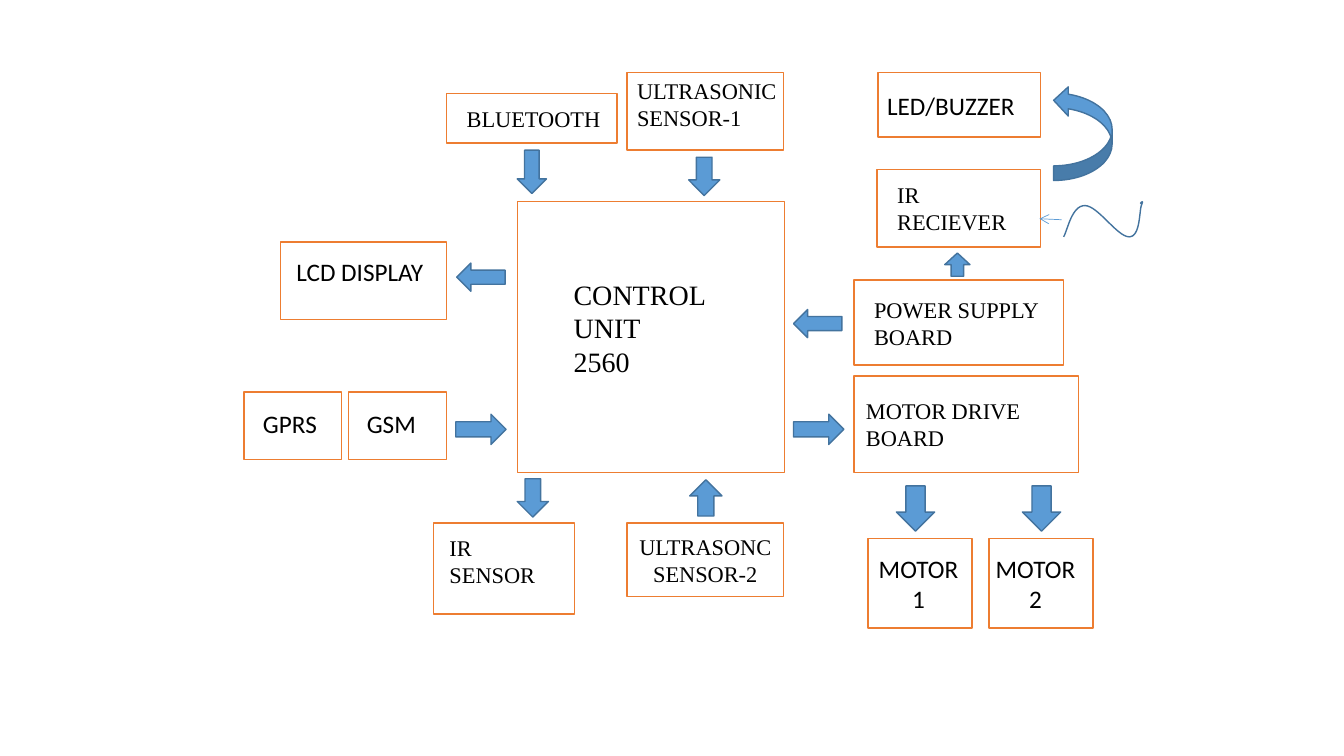
"""Build the block diagram of a controller board with its sensors, radios and motors."""
from dataclasses import dataclass
from typing import Optional

import lxml.etree
import pptx
import pptx.dml.color
import pptx.enum.dml
import pptx.enum.shapes
import pptx.enum.text
import pptx.oxml.ns
import pptx.util

SERIF, SANS = "Times New Roman", "Calibri"
ORANGE, BLUE, DARK_BLUE, WHITE, BLACK = "ED7D31", "5B9BD5", "43739E", "FFFFFF", "000000"
SHAPE = pptx.enum.shapes.MSO_SHAPE
ALIGN = pptx.enum.text.PP_ALIGN
ANCHOR = pptx.enum.text.MSO_ANCHOR
CELLS_PER_INCH = 10


@dataclass(frozen=True)
class Area:
    """A rectangle in grid columns and rows."""
    column: float
    row: float
    columns: float
    rows: float


@dataclass(frozen=True)
class Block:
    """An outlined box with its label, set in a text area or in the box itself."""
    area: Area
    text: str
    label: Optional[Area] = None
    font: str = SERIF
    size: float = 16
    align: ALIGN = ALIGN.LEFT
    fill: Optional[str] = WHITE


@dataclass(frozen=True)
class Arrow:
    """A block arrow."""
    kind: SHAPE
    area: Area
    rotation: float = 0


BLOCKS = [
    Block(Area(51.3, 20, 26.5, 26.9), "CONTROL UNIT\n2560", Area(55.9, 27, 17.2, 11.1), size=20),
    Block(Area(44.3, 9.3, 16.9, 4.9), "BLUETOOTH", Area(45.3, 9.9, 16.9, 3.7)),
    Block(Area(62.2, 7.2, 15.5, 7.7), "ULTRASONIC SENSOR-1", Area(62.2, 7.2, 16.9, 6.4)),
    Block(Area(62.2, 51.9, 15.5, 7.3), "ULTRASONC SENSOR-2", align=ALIGN.CENTER),
    Block(Area(84.7, 37.3, 22.3, 9.6), "MOTOR DRIVE BOARD", Area(84.9, 38.9, 22.1, 6.4)),
    Block(Area(84.7, 27.8, 20.8, 8.4), "POWER SUPPLY\nBOARD", Area(85.7, 28.9, 18.8, 6.4)),
    Block(Area(27.8, 24, 16.5, 7.7), "LCD DISPLAY", Area(28.4, 24.9, 15.5, 4), SANS, 18),
    Block(Area(87, 16.8, 16.2, 7.7), "IR RECIEVER", Area(88, 17.5, 14.3, 6.4)),
    Block(Area(43, 51.9, 14, 9), "IR SENSOR", Area(43.6, 52.5, 12.6, 6.4)),
    Block(Area(34.6, 38.9, 9.7, 6.7), "GSM", Area(35.4, 40, 8.2, 4), SANS, 18),
    Block(Area(24.2, 38.9, 9.7, 6.7), "GPRS", Area(25.1, 40, 7.9, 4), SANS, 18),
    Block(Area(87.1, 7.2, 16.1, 6.4), "LED/BUZZER", Area(87, 8.5, 15.7, 4), SANS, 18, fill=None),
] + [
    Block(Area(column, 53.4, 10.3, 8.9), f"MOTOR\n{number}", Area(label_column, 54.4, 11, 7.1),
          SANS, 18, ALIGN.CENTER)
    for number, column, label_column in ((1, 86.1, 85.6), (2, 98.1, 97.2))
]

ARROWS = [
    Arrow(SHAPE.DOWN_ARROW, Area(51.3, 14.9, 2.9, 4.3)),
    Arrow(SHAPE.DOWN_ARROW, Area(68.3, 15.6, 3.1, 3.8)),
    Arrow(SHAPE.DOWN_ARROW, Area(51.3, 47.5, 3.1, 3.8)),
    Arrow(SHAPE.UP_ARROW, Area(68.4, 47.6, 3.2, 3.6)),
    Arrow(SHAPE.LEFT_ARROW, Area(45.3, 26.1, 4.8, 2.8)),
    Arrow(SHAPE.LEFT_ARROW, Area(78.7, 30.7, 4.8, 2.8)),
    Arrow(SHAPE.RIGHT_ARROW, Area(45.2, 41.1, 5, 3)),
    Arrow(SHAPE.RIGHT_ARROW, Area(78.7, 41.1, 5, 3)),
    Arrow(SHAPE.DOWN_ARROW, Area(88.9, 48.2, 3.8, 4.5)),
    Arrow(SHAPE.DOWN_ARROW, Area(101.4, 48.2, 3.8, 4.5)),
    Arrow(SHAPE.DOWN_ARROW, Area(93.7, 25.1, 2.5, 2.3), 180),
    Arrow(SHAPE.CURVED_RIGHT_ARROW, Area(104.5, 8.5, 5.8, 9.4), 180),
]

SIGNAL_START = (105.5, 23.5)
SIGNAL_CURVES = [
    ((105.9, 22.8), (106.3, 20.4), (107.6, 20.4)),
    ((108.9, 20.4), (110.8, 23.5), (112, 23.5)),
    ((113.1, 23.5), (113, 21), (113.2, 20.4)),
    ((113.5, 19.7), (113.1, 20.2), (113.1, 20.2)),
]


def grid(cells: float) -> pptx.util.Length:
    """Turn grid cells into a length."""
    return pptx.util.Inches(cells / CELLS_PER_INCH)


def place(area: Area) -> tuple:
    """Give left, top, width and height of an area."""
    return grid(area.column), grid(area.row), grid(area.columns), grid(area.rows)


def color(value: str) -> pptx.dml.color.RGBColor:
    """Turn a hex string into a colour."""
    return pptx.dml.color.RGBColor.from_string(value)


def paint(shape, fill: Optional[str], line: str) -> None:
    """Set fill and outline, without shadow."""
    shape.shadow.inherit = False
    if fill:
        shape.fill.solid()
        shape.fill.fore_color.rgb = color(fill)
    else:
        shape.fill.background()
    shape.line.color.rgb = color(line)
    shape.line.width = pptx.util.Pt(1)


def write(shape, text: str, *, font: str, size: float, align: ALIGN, anchor: ANCHOR) -> None:
    """Write one paragraph for each line of text."""
    frame = shape.text_frame
    frame.word_wrap = True
    frame.vertical_anchor = anchor
    frame.text = text
    for paragraph in frame.paragraphs:
        paragraph.alignment = align
        paragraph.font.name = font
        paragraph.font.size = pptx.util.Pt(size)
        paragraph.font.color.rgb = color(BLACK)


def draw_block(slide, block: Block) -> None:
    """Draw a box and its label."""
    shape = slide.shapes.add_shape(SHAPE.RECTANGLE, *place(block.area))
    paint(shape, block.fill, ORANGE)
    anchor = ANCHOR.MIDDLE
    if block.label:
        shape = slide.shapes.add_textbox(*place(block.label))
        shape.text_frame.auto_size = pptx.enum.text.MSO_AUTO_SIZE.SHAPE_TO_FIT_TEXT
        anchor = ANCHOR.TOP
    write(shape, block.text, font=block.font, size=block.size, align=block.align, anchor=anchor)


def draw_arrow(slide, arrow: Arrow) -> None:
    """Draw a block arrow."""
    shape = slide.shapes.add_shape(arrow.kind, *place(arrow.area))
    shape.rotation = arrow.rotation
    paint(shape, BLUE, DARK_BLUE)


def curve_points(start: tuple, curves: list, steps: int = 16) -> list:
    """List points along a chain of cubic curves."""
    points = []
    for first, second, end in curves:
        for step in range(1, steps + 1):
            t = step / steps
            weights = ((1 - t) ** 3, 3 * t * (1 - t) ** 2, 3 * t ** 2 * (1 - t), t ** 3)
            corners = (start, first, second, end)
            points.append(tuple(grid(sum(weight * corner[axis] for weight, corner
                                         in zip(weights, corners))) for axis in (0, 1)))
        start = end
    return points


def draw_signal(slide) -> None:
    """Draw the infrared wave and the thin arrow into the receiver."""
    builder = slide.shapes.build_freeform(*map(grid, SIGNAL_START))
    builder.add_line_segments(curve_points(SIGNAL_START, SIGNAL_CURVES), close=False)
    paint(builder.convert_to_shape(), None, DARK_BLUE)
    connector = slide.shapes.add_connector(pptx.enum.shapes.MSO_CONNECTOR.STRAIGHT,
                                           *map(grid, (105.3, 21.8, 103.1, 21.7)))
    connector.line.color.rgb = color(BLUE)
    connector.line.width = pptx.util.Pt(0.5)
    qualified = pptx.oxml.ns.qn
    lxml.etree.SubElement(connector.line._get_or_add_ln(), qualified("a:tailEnd"), type="arrow")
    lxml.etree.SubElement(connector._element.spPr, qualified("a:effectLst"))


def main() -> None:
    """Build and save the slide."""
    presentation = pptx.Presentation()
    presentation.slide_width = pptx.util.Inches(13.33)
    presentation.slide_height = pptx.util.Inches(7.5)
    slide = presentation.slides.add_slide(presentation.slide_layouts[6])
    for block in BLOCKS:
        draw_block(slide, block)
    for arrow in ARROWS:
        draw_arrow(slide, arrow)
    draw_signal(slide)
    presentation.save("out.pptx")


if __name__ == "__main__":
    main()
